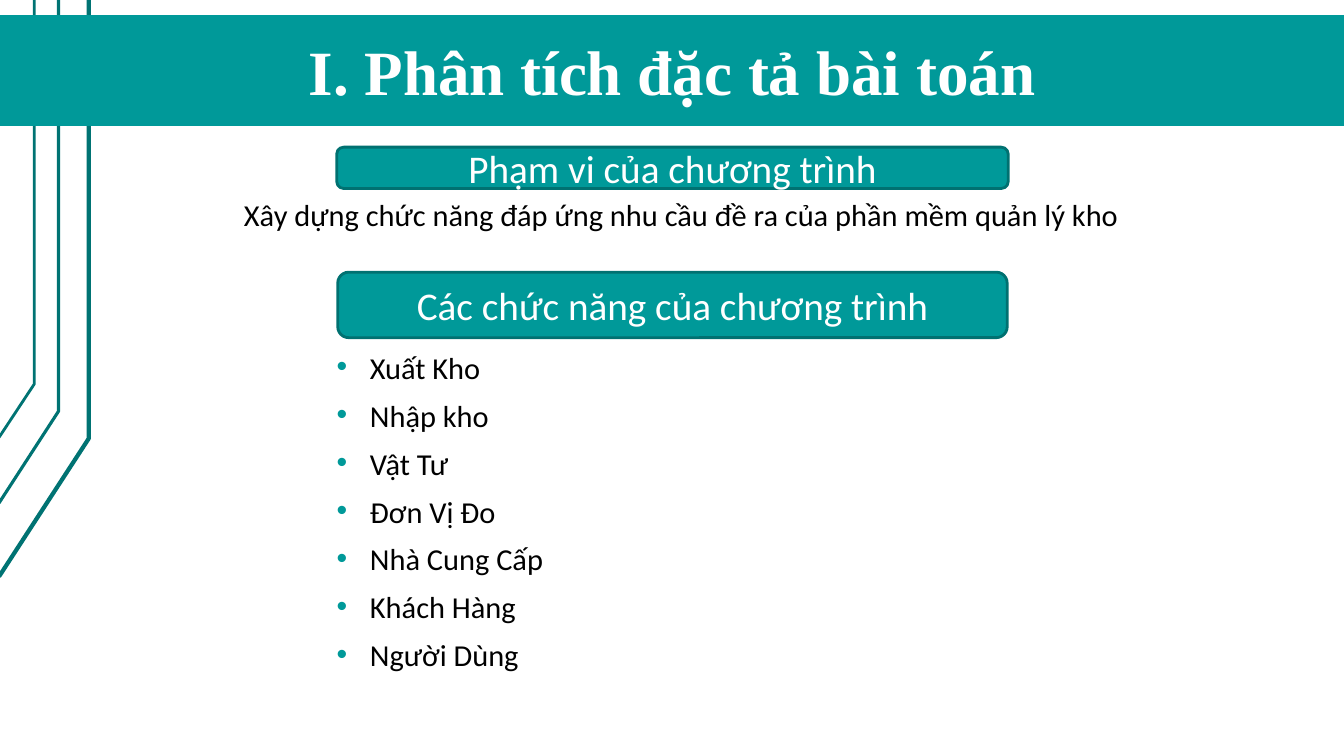
from dataclasses import dataclass

import pptx
import pptx.dml.color
import pptx.enum.shapes
import pptx.enum.text
import pptx.oxml
import pptx.oxml.ns
import pptx.util
from pptx.util import Inches

SHAPE = pptx.enum.shapes.MSO_SHAPE
ALIGN = pptx.enum.text.PP_ALIGN
ANCHOR = pptx.enum.text.MSO_ANCHOR


@dataclass(frozen=True)
class Theme:
    teal: str = "009999"
    edge: str = "007171"
    stripe: str = "007373"
    white: str = "FFFFFF"
    black: str = "000000"
    title_font: str = "Times New Roman"
    body_font: str = "Calibri"
    title_size: float = 45
    heading_size: float = 28
    body_size: float = 21.7


THEME = Theme()

# Corner x, corner y, left end y, line width
STRIPES = [(0.88, 4.35, 5.72, 3), (0.58, 4.08, 4.99, 2.25), (0.34, 3.81, 4.34, 2)]
FUNCTIONS = ["Xuất Kho", "Nhập kho", "Vật Tư", "Đơn Vị Đo",
             "Nhà Cung Cấp", "Khách Hàng", "Người Dùng"]


def rgb(value):
    return pptx.dml.color.RGBColor.from_string(value)


def set_font(paragraph, name, size, color, bold=False):
    font = paragraph.font
    font.name, font.size, font.bold = name, pptx.util.Pt(size), bold
    font.color.rgb = rgb(color)


def add_stripe(slide, corner_x, corner_y, end_y, width):
    builder = slide.shapes.build_freeform(Inches(-0.01), Inches(end_y))
    builder.add_line_segments([(Inches(corner_x), Inches(corner_y)),
                               (Inches(corner_x), 0)], close=False)
    stripe = builder.convert_to_shape()
    stripe.shadow.inherit = False
    stripe.fill.background()
    stripe.line.color.rgb = rgb(THEME.stripe)
    stripe.line.width = pptx.util.Pt(width)


def add_banner(slide, kind, box, text, font, size, bold=False, outlined=True):
    banner = slide.shapes.add_shape(kind, *map(Inches, box))
    banner.shadow.inherit = False
    banner.fill.solid()
    banner.fill.fore_color.rgb = rgb(THEME.teal)
    if outlined:
        banner.line.color.rgb = rgb(THEME.edge)
        banner.line.width = pptx.util.Pt(2)
    else:
        banner.line.fill.background()
    frame = banner.text_frame
    frame.vertical_anchor = ANCHOR.MIDDLE
    paragraph = frame.paragraphs[0]
    paragraph.text = text
    paragraph.alignment = ALIGN.CENTER
    set_font(paragraph, font, size, THEME.white, bold)


def add_bullet(paragraph):
    properties = paragraph._p.get_or_add_pPr()
    indent = Inches(0.33)
    properties.set("marL", str(indent))
    properties.set("indent", str(-indent))
    namespace = pptx.oxml.ns.nsdecls("a")
    for xml in (f'<a:buClr {namespace}><a:srgbClr val="{THEME.teal}"/></a:buClr>',
                f'<a:buFont {namespace} typeface="Arial"/>',
                f'<a:buChar {namespace} char="•"/>'):
        properties.append(pptx.oxml.parse_xml(xml))


def add_body(slide, box, lines, bulleted=False):
    frame = slide.shapes.add_textbox(*map(Inches, box)).text_frame
    frame.word_wrap = True
    frame.margin_left = frame.margin_right = Inches(0.13)
    frame.margin_top = frame.margin_bottom = Inches(0.07)
    for index, line in enumerate(lines):
        paragraph = frame.add_paragraph() if index else frame.paragraphs[0]
        paragraph.text = line
        paragraph.line_spacing = 0.7
        paragraph.space_before = pptx.util.Pt(16)
        set_font(paragraph, THEME.body_font, THEME.body_size, THEME.black)
        if bulleted:
            add_bullet(paragraph)


def main():
    deck = pptx.Presentation()
    deck.slide_width, deck.slide_height = Inches(13.33), Inches(7.5)
    slide = deck.slides.add_slide(deck.slide_layouts[6])

    # Bent stripes along the left edge
    for stripe in STRIPES:
        add_stripe(slide, *stripe)

    # Scope and function texts
    add_body(slide, (2.29, 1.97, 9.07, 0.62),
             ["Xây dựng chức năng đáp ứng nhu cầu đề ra của phần mềm quản lý kho"])
    add_body(slide, (3.21, 3.49, 8.26, 3.82), FUNCTIONS, bulleted=True)

    # Title band and section headings
    add_banner(slide, SHAPE.RECTANGLE, (0, 0.15, 13.33, 1.1),
               "I. Phân tích đặc tả bài toán",
               THEME.title_font, THEME.title_size, bold=True, outlined=False)
    for box, heading in [((3.34, 1.46, 6.66, 0.41), "Phạm vi của chương trình"),
                         ((3.35, 2.7, 6.64, 0.65), "Các chức năng của chương trình")]:
        add_banner(slide, SHAPE.FLOWCHART_ALTERNATE_PROCESS, box, heading,
                   THEME.body_font, THEME.heading_size)

    deck.save("out.pptx")


main()
